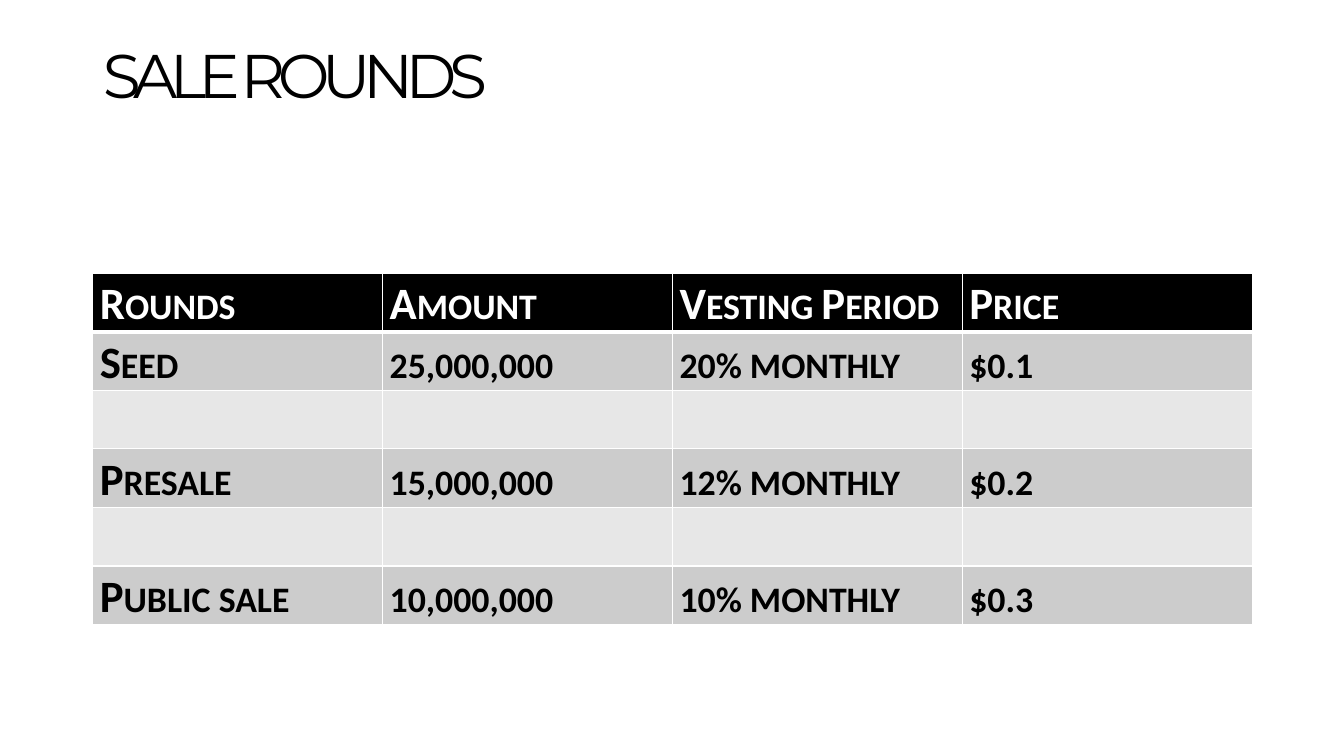
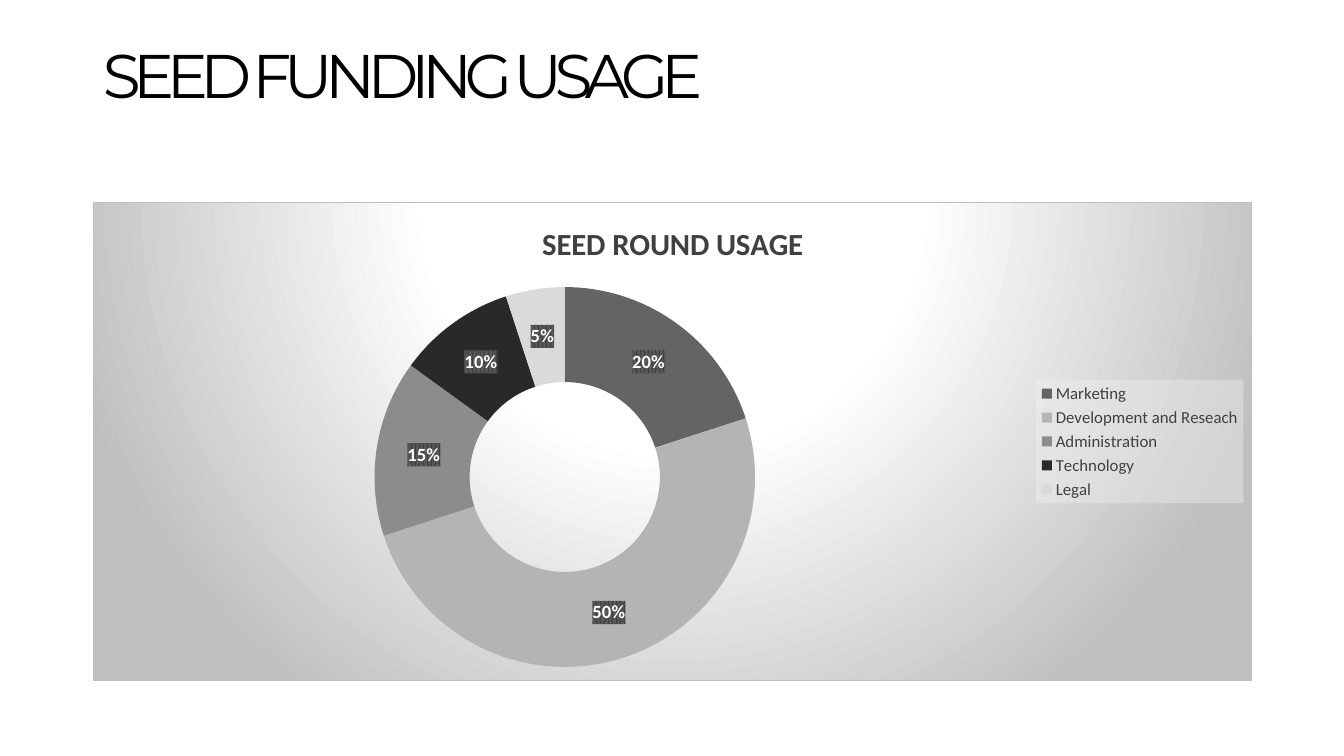
from lxml import etree
from pptx import Presentation
from pptx.chart.data import CategoryChartData
from pptx.dml.color import RGBColor
from pptx.enum.chart import XL_CHART_TYPE as ChartType, XL_LEGEND_POSITION as LegendPosition
from pptx.enum.text import MSO_ANCHOR as Anchor, MSO_AUTO_SIZE as AutoSize, PP_ALIGN as Align
from pptx.oxml import parse_xml
from pptx.oxml.ns import nsdecls, qn
from pptx.util import Emu, Pt

PX = 9144  # 100 px to the inch
LEFT, WIDTH = 92, 1150
BLACK, WHITE, DARK = "000000", "FFFFFF", "404040"
BAND, PALE_BAND, EDGE = "CCCCCC", "E7E7E7", "BFBFBF"

ROUNDS = [
    ["Rounds", "Amount", "Vesting Period", "Price"],
    ["Seed", "25,000,000", "20% monthly", "$0.1"],
    [""] * 4,
    ["Presale", "15,000,000", "12% monthly", "$0.2"],
    [""] * 4,
    ["Public sale", "10,000,000", "10% monthly", "$0.3"],
]
USAGE = [
    ("Marketing", 20, "646464"),
    ("Development and Reseach", 50, "B4B4B4"),
    ("Administration", 15, "8C8C8C"),
    ("Technology", 10, "292929"),
    ("Legal", 5, "DADADA"),
]


def px(length):
    return Emu(length * PX)


def rgb(color):
    return RGBColor.from_string(color)


def color_xml(color, alpha=100):
    return f'<a:srgbClr val="{color}"><a:alpha val="{alpha * 1000}"/></a:srgbClr>'


def chart_fill(content):
    """Wrap fill and line XML as the shape properties of a chart part."""
    return parse_xml(f'<c:spPr {nsdecls("c", "a")}>{content}</c:spPr>')


def style_font(font, size, color, bold=False, name="Calibri", **attributes):
    """Format a font; extra attributes go on its character properties."""
    font.size, font.bold, font.name = Pt(size), bold, name
    font.color.rgb = rgb(color)
    for key, value in attributes.items():
        font._element.set(key, value) if hasattr(font, "_element") else font._rPr.set(key, value)


def set_borders(cell, bottom):
    """Draw white cell edges, 1 pt except for the bottom one."""
    properties = cell._tc.get_or_add_tcPr()
    for side, width in (("L", 1), ("R", 1), ("T", 1), ("B", bottom)):
        line = etree.SubElement(properties, qn(f"a:ln{side}"), w=str(Pt(width)))
        fill = etree.SubElement(line, qn("a:solidFill"))
        etree.SubElement(fill, qn("a:srgbClr"), val=WHITE)


class Slides:
    """Holds the deck, its shared style and the current page."""

    def __init__(self):
        self.deck = Presentation()
        self.deck.slide_width, self.deck.slide_height = px(1333), px(750)
        self.page = None

    def add_page(self, title):
        self.page = self.deck.slides.add_slide(self.deck.slide_layouts[5])
        box = self.page.shapes.title
        box.left, box.top, box.width, box.height = map(px, (LEFT, 40, WIDTH, 145))
        frame = box.text_frame
        frame.text = title
        frame.word_wrap, frame.auto_size = True, AutoSize.NONE
        frame.vertical_anchor = Anchor.TOP
        para = frame.paragraphs[0]
        para.alignment, para.line_spacing = Align.LEFT, 0.9
        style_font(para.font, 44, BLACK, name="Montserrat", spc="-540")

    def add_table(self, rows, top, row_height):
        table = self.page.shapes.add_table(
            len(rows), len(rows[0]), px(LEFT), px(top), px(WIDTH), px(row_height * len(rows))
        ).table
        for row_index, row in enumerate(rows):
            header = row_index == 0
            fill = BLACK if header else BAND if row_index % 2 else PALE_BAND
            for column_index, text in enumerate(row):
                cell = table.cell(row_index, column_index)
                set_borders(cell, 3 if header else 1)
                cell.fill.solid()
                cell.fill.fore_color.rgb = rgb(fill)
                cell.margin_left = cell.margin_right = px(7)
                cell.margin_top = cell.margin_bottom = 0
                if text:
                    cell.text = text
                    para = cell.text_frame.paragraphs[0]
                    para.alignment, para.line_spacing = Align.JUSTIFY, 1.07
                    style_font(para.font, 32, WHITE if header else BLACK, True, cap="small")

    def add_doughnut(self, title, slices, top, height):
        data = CategoryChartData()
        data.categories = [name for name, _, _ in slices]
        data.add_series(title, [value for _, value, _ in slices])
        chart = self.page.shapes.add_chart(
            ChartType.DOUGHNUT, px(LEFT), px(top), px(WIDTH), px(height), data
        ).chart
        style_font(chart.font, 10, BLACK)
        self.fill_chart_area(chart)

        chart.has_title = True
        chart.chart_title.include_in_layout = False
        chart.chart_title.text_frame.text = title
        style_font(chart.chart_title.text_frame.paragraphs[0].font, 22, DARK, True)

        chart.has_legend = True
        legend = chart.legend
        legend.position, legend.include_in_layout = LegendPosition.RIGHT, False
        style_font(legend.font, 12, DARK)
        legend._element.find(qn("c:txPr")).addprevious(
            chart_fill(f'<a:solidFill>{color_xml("F2F2F2", 39)}</a:solidFill>')
        )

        series = chart.plots[0].series[0]
        for index, (_, _, color) in enumerate(slices):
            part = series.points[index].format
            part.fill.solid()
            part.fill.fore_color.rgb = rgb(color)
            part.line.fill.background()
        self.label_slices(series.data_labels)

    def fill_chart_area(self, chart):
        stops = "".join(
            f'<a:gs pos="{position * 1000}">{color_xml(color)}</a:gs>'
            for position, color in ((0, WHITE), (39, WHITE), (100, EDGE))
        )
        chart._chartSpace.find(qn("c:chart")).addnext(chart_fill(
            f'<a:gradFill><a:gsLst>{stops}</a:gsLst><a:path path="circle">'
            '<a:fillToRect l="50000" t="-80000" r="50000" b="180000"/></a:path></a:gradFill>'
            f'<a:ln w="{Pt(0.75)}"><a:solidFill>{color_xml(EDGE)}</a:solidFill></a:ln>'
        ))

    def label_slices(self, labels):
        labels.show_value, labels.show_percentage = False, True
        labels.number_format, labels.number_format_is_linked = "0%", False
        style_font(labels.font, 13.3, WHITE, True)
        labels._element.find(qn("c:txPr")).addprevious(chart_fill(
            f'<a:pattFill prst="pct75"><a:fgClr>{color_xml(DARK)}</a:fgClr>'
            f'<a:bgClr>{color_xml("595959")}</a:bgClr></a:pattFill>'
        ))


def main():
    slides = Slides()
    slides.add_page("SALE ROUNDS")
    slides.add_table(ROUNDS, top=271, row_height=58)
    slides.add_page("SEED FUNDING USAGE")
    slides.add_doughnut("SEED ROUND USAGE", USAGE, top=200, height=476)
    slides.deck.save("out.pptx")


if __name__ == "__main__":
    main()
